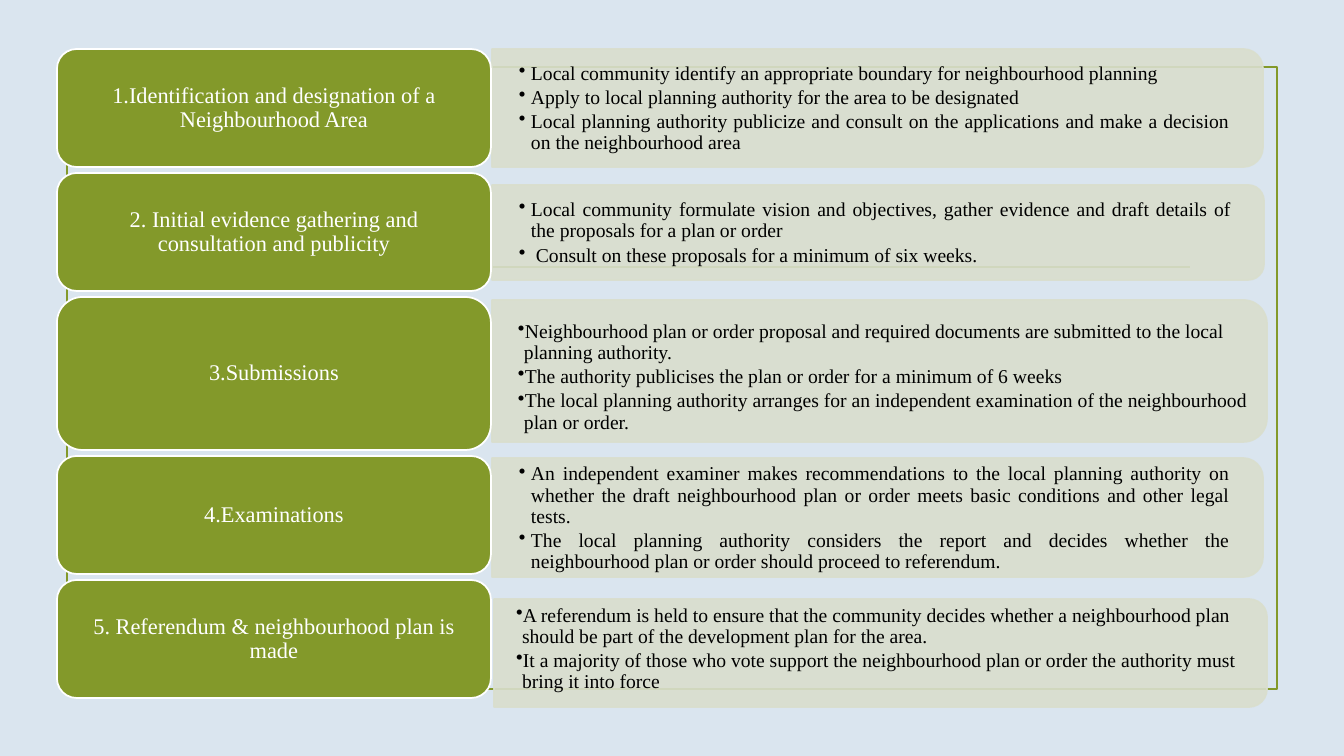
from lxml import etree
from pptx import Presentation, util as u
from pptx.dml.color import RGBColor
from pptx.enum import shapes, text
from pptx.oxml.ns import qn

PX = 12192000 / 1344
GREEN, SAGE, WHITE, BLACK, SKY = "83992A", "D9DECD", "FFFFFF", "000000", "DAE5EF"
LABEL_LEFT, LABEL_WIDTH, LABEL_GAP = 57, 434, 6


def px(*lengths):
    return [u.Emu(round(length * PX)) for length in lengths]


def paint(target, colour, alpha=None):
    target.solid()
    target.fore_color.rgb = RGBColor.from_string(colour)
    if alpha:
        colour_node = target._xPr.find(".//" + qn("a:srgbClr"))
        etree.SubElement(colour_node, qn("a:alpha"), val=str(alpha * 1000))


# Each step: label and its height, panel box, text box, list format, list items
WIDE = {"inset": (27, 14), "hang": 12, "align": text.PP_ALIGN.JUSTIFY}
TIGHT = {"inset": (3, 2), "hang": 6, "align": text.PP_ALIGN.LEFT}
STEPS = [
    ("1.Identification and designation of a Neighbourhood Area", 118,
     (492, 49, 771, 118), (492, 55, 765, 107), WIDE,
     ["Local community identify an appropriate boundary for neighbourhood planning",
      "Apply to local planning authority for the area to be designated",
      "Local planning authority publicize and consult on the applications and make "
      "a decision on the neighbourhood area"]),
    ("2. Initial evidence gathering and consultation and publicity", 118,
     (492, 185, 772, 95), (492, 190, 767, 86), WIDE,
     ["Local community formulate vision and objectives, gather evidence and draft "
      "details of the proposals for a plan or order",
      " Consult on these proposals for a minimum of six weeks."]),
    ("3.Submissions", 153,
     (492, 300, 775, 142), (515, 300, 753, 155), TIGHT,
     ["Neighbourhood plan or order proposal and required documents are submitted "
      "to the local planning authority.",
      "The authority publicises the plan or order for a minimum of 6 weeks",
      "The local planning authority arranges for an independent examination of the "
      "neighbourhood plan or order."]),
    ("4.Examinations", 118,
     (492, 458, 771, 119), (492, 465, 765, 107), WIDE,
     ["An independent examiner makes recommendations to the local planning authority "
      "on whether the draft neighbourhood plan or order meets basic conditions and "
      "other legal tests.",
      "The local planning authority considers the report and decides whether the "
      "neighbourhood plan or order should proceed to referendum."]),
    ("5. Referendum & neighbourhood plan is made", 118,
     (494, 599, 773, 108), (513, 591, 745, 116), TIGHT,
     ["A referendum is held to ensure that the community decides whether a "
      "neighbourhood plan should be part of the development plan for the area.",
      "It a majority of those who vote support the neighbourhood plan or order the "
      "authority must bring it into force"]),
]

deck = Presentation()
deck.slide_width, deck.slide_height = px(1344, 756)
page = deck.slides.add_slide(deck.slide_layouts[6])
paint(page.background.fill, SKY)

# Frame and rule behind the steps
frame = page.shapes.add_shape(shapes.MSO_SHAPE.RECTANGLE, *px(67, 67, 1210, 622))
frame.shadow.inherit = False
frame.fill.background()
rule = page.shapes.add_connector(shapes.MSO_CONNECTOR.STRAIGHT, *px(154, 267, 1190, 267))
etree.SubElement(rule._element.spPr, qn("a:effectLst"))
for outline in (frame.line, rule.line):
    paint(outline.fill, GREEN)
    outline.width = u.Pt(1.25)

label_top = 49
for label_text, label_height, panel_box, list_box, style, items in STEPS:
    # Panel, turned so that its rounded corners face right
    left, top, width, height = panel_box
    panel = page.shapes.add_shape(
        shapes.MSO_SHAPE.ROUND_2_SAME_RECTANGLE,
        *px(left + (width - height) / 2, top + (height - width) / 2, height, width))
    panel.rotation = 90
    paint(panel.fill, SAGE, 90)
    paint(panel.line.fill, SAGE, 90)

    # Green label
    label = page.shapes.add_shape(shapes.MSO_SHAPE.ROUNDED_RECTANGLE,
                                  *px(LABEL_LEFT, label_top, LABEL_WIDTH, label_height))
    paint(label.fill, GREEN)
    paint(label.line.fill, WHITE)
    label.text_frame.text = label_text
    label_top += label_height + LABEL_GAP
    for shape in (panel, label):
        shape.shadow.inherit = False
        shape.line.width = u.Pt(1.25)

    # Bulleted list
    box = page.shapes.add_textbox(*px(*list_box))
    box.text_frame.text = "\n".join(items)

    # Text format of label and list
    for holder, inset, align, size, colour in (
            (label, (13, 9), text.PP_ALIGN.CENTER, 16, WHITE),
            (box, style["inset"], style["align"], 14, BLACK)):
        side, edge = px(*inset)
        frame_format = {"word_wrap": True, "vertical_anchor": text.MSO_ANCHOR.MIDDLE,
                        "margin_left": side, "margin_right": side,
                        "margin_top": edge, "margin_bottom": edge}
        for name, value in frame_format.items():
            setattr(holder.text_frame, name, value)
        for para in holder.text_frame.paragraphs:
            para_format = {"alignment": align, "line_spacing": 0.9}
            if holder is box:
                para_format.update(level=1, space_after=u.Pt(2.1))
                hang = px(style["hang"])[0]
                para_props = para._p.get_or_add_pPr()
                para_props.set("marL", str(hang))
                para_props.set("indent", str(-hang))
                etree.SubElement(para_props, qn("a:buChar"), char="•")
            for name, value in para_format.items():
                setattr(para, name, value)
            for span in para.runs:
                span.font.name = "Times New Roman"
                span.font.size = u.Pt(size)
                span.font.color.rgb = RGBColor.from_string(colour)

deck.save("out.pptx")
